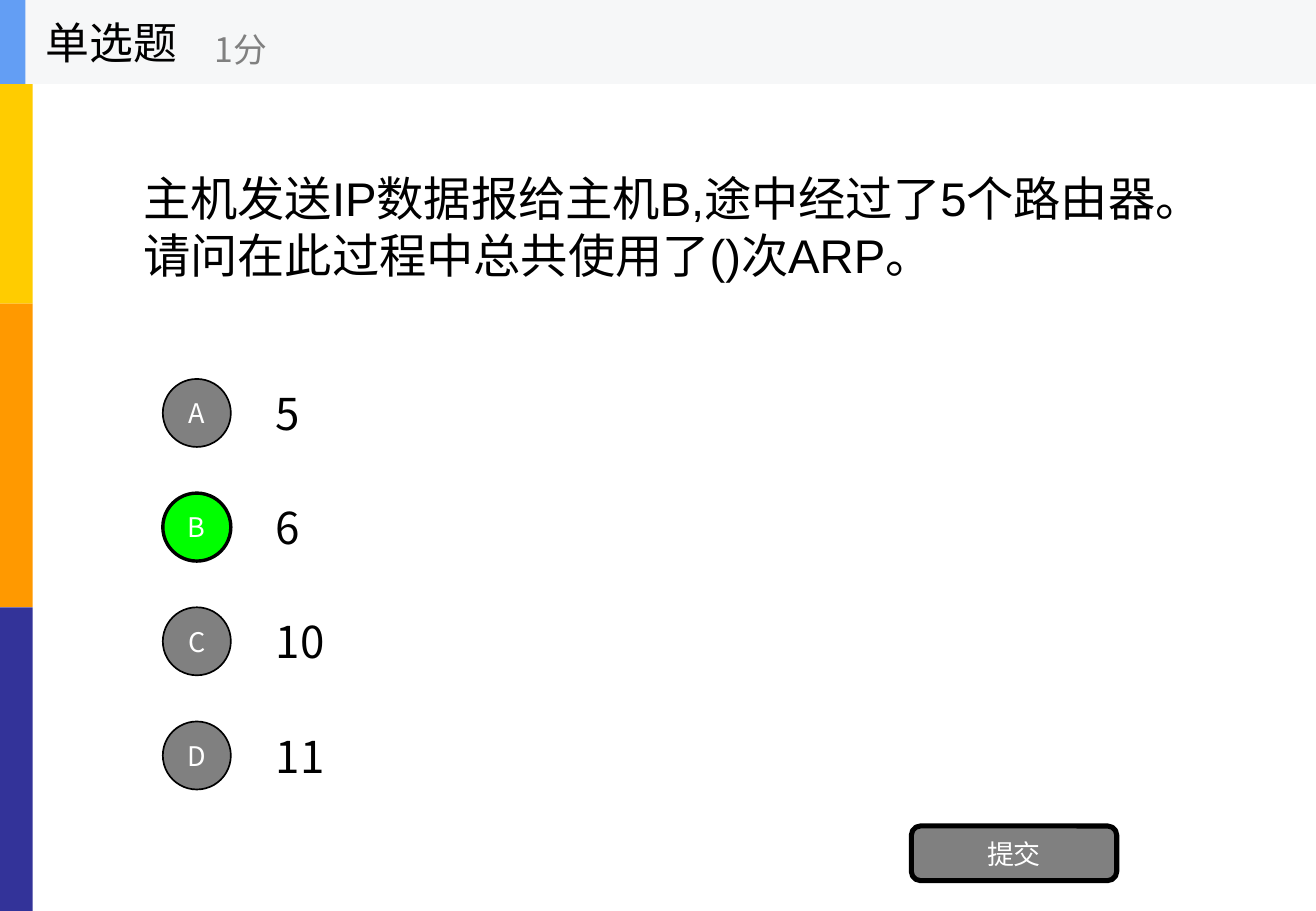
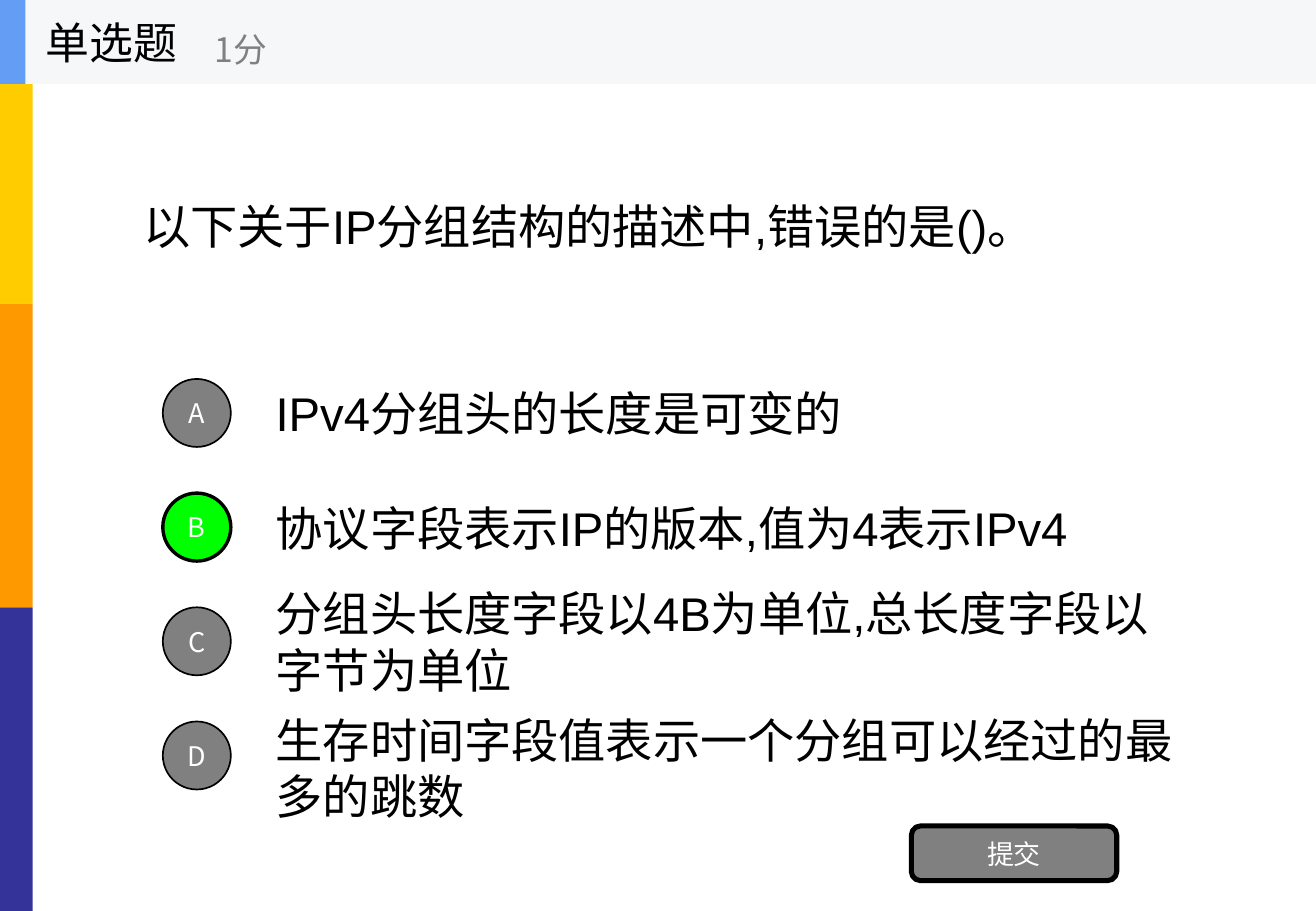
from lxml.etree import SubElement
from pptx import Presentation
from pptx.dml.color import RGBColor
from pptx.enum.shapes import MSO_SHAPE as SHAPE
from pptx.enum.text import MSO_ANCHOR as ANCHOR, MSO_AUTO_SIZE as AUTO_SIZE, PP_ALIGN as ALIGN
from pptx.oxml.ns import qn
from pptx.util import Inches, Pt

LATIN, CJK = "Arial", "Noto Sans CJK SC"
BLACK, WHITE, GREY, GREEN = "000000", "FFFFFF", "808080", "00FF00"
WIDTH, HEIGHT = 10.83, 7.5
HEADER_HEIGHT = 0.69
BAND_HEIGHT = HEIGHT / 3
FIRST_ROW, ROW_STEP, ROW_HEIGHT = 3.05, 0.94, 0.7
CIRCLE = 0.56

# last_shift lowers the last answer
questions = [
    dict(text="主机发送IP数据报给主机B,途中经过了5个路由器。请问在此过程中总共使用了()次ARP。",
         width=9.06, answers=["5", "6", "10", "11"], font=CJK, size=26, last_shift=0),
    dict(text="以下关于IP分组结构的描述中,错误的是()。",
         width=8.67, font=LATIN, size=28, last_shift=0.1,
         answers=["IPv4分组头的长度是可变的",
                  "协议字段表示IP的版本,值为4表示IPv4",
                  "分组头长度字段以4B为单位,总长度字段以字节为单位",
                  "生存时间字段值表示一个分组可以经过的最多的跳数"]),
]
CORRECT = "B"


def write(shape, text, size, color=BLACK, font=CJK, align=ALIGN.LEFT):
    """Fill a shape with one vertically centred paragraph."""
    frame = shape.text_frame
    frame.text = text
    frame.word_wrap = True
    frame.auto_size = AUTO_SIZE.NONE
    frame.vertical_anchor = ANCHOR.MIDDLE
    paragraph = frame.paragraphs[0]
    paragraph.alignment = align
    paragraph.font.size = Pt(size)
    paragraph.font.color.rgb = RGBColor.from_string(color)
    paragraph.font.name = font
    SubElement(paragraph.font._element, qn("a:ea"), typeface=CJK)


def add_filled(shapes, kind, box, fill, line_width=0):
    shape = shapes.add_shape(kind, *map(Inches, box))
    shape.shadow.inherit = False
    shape.fill.solid()
    shape.fill.fore_color.rgb = RGBColor.from_string(fill)
    if line_width:
        shape.line.color.rgb = RGBColor.from_string(BLACK)
        shape.line.width = Pt(line_width)
    else:
        shape.line.fill.background()
    return shape


presentation = Presentation()
presentation.slide_width, presentation.slide_height = Inches(WIDTH), Inches(HEIGHT)
title_only = presentation.slide_layouts[5]
slides = [presentation.slides.add_slide(title_only) for _ in questions]

# The side bands are drawn on a slide, then moved to the master
for index, color in enumerate(["FFCC00", "FF9900", "333399"]):
    band = add_filled(slides[0].shapes, SHAPE.RECTANGLE,
                      (0, index * BAND_HEIGHT, 0.27, BAND_HEIGHT), color)
    presentation.slide_master.shapes.element.append(band.element)

for slide, question in zip(slides, questions):
    shapes = slide.shapes
    title = shapes.title
    title.left, title.top = Inches(1.08), Inches(HEADER_HEIGHT)
    title.width, title.height = Inches(question["width"]), Inches(2.34)
    write(title, question["text"], 28, font=LATIN)

    last = len(question["answers"]) - 1
    for index, (letter, text) in enumerate(zip("ABCD", question["answers"])):
        top = FIRST_ROW + index * ROW_STEP
        shift = question["last_shift"] if index == last else 0
        answer = shapes.add_textbox(Inches(2.17), Inches(top + shift),
                                    Inches(7.58), Inches(ROW_HEIGHT))
        write(answer, text, question["size"], font=question["font"])

        fill, line_width = (GREEN, 2) if letter == CORRECT else (GREY, 1)
        circle = add_filled(shapes, SHAPE.OVAL,
                            (1.34, top + (ROW_HEIGHT - CIRCLE) / 2, CIRCLE, CIRCLE),
                            fill, line_width)
        circle.text_frame.margin_left = circle.text_frame.margin_right = 0
        write(circle, letter, 16, WHITE, align=ALIGN.CENTER)

    submit = add_filled(shapes, SHAPE.ROUNDED_RECTANGLE, (7.5, 6.8, 1.69, 0.45), GREY, 3)
    write(submit, "提交", 16, WHITE, align=ALIGN.CENTER)

    header = shapes.add_group_shape().shapes
    add_filled(header, SHAPE.RECTANGLE, (0, 0, WIDTH, HEADER_HEIGHT), "F6F7F8")
    add_filled(header, SHAPE.RECTANGLE, (0, 0, 0.21, HEADER_HEIGHT), "639EF4")
    for text, box, size, color in [
        ("单选题", (0.28, 0, 2.08, HEADER_HEIGHT), 26, BLACK),
        ("1分", (1.67, 0.12, 2.5, 0.56), 20, GREY),
    ]:
        write(header.add_textbox(*map(Inches, box)), text, size, color)

presentation.save("out.pptx")
